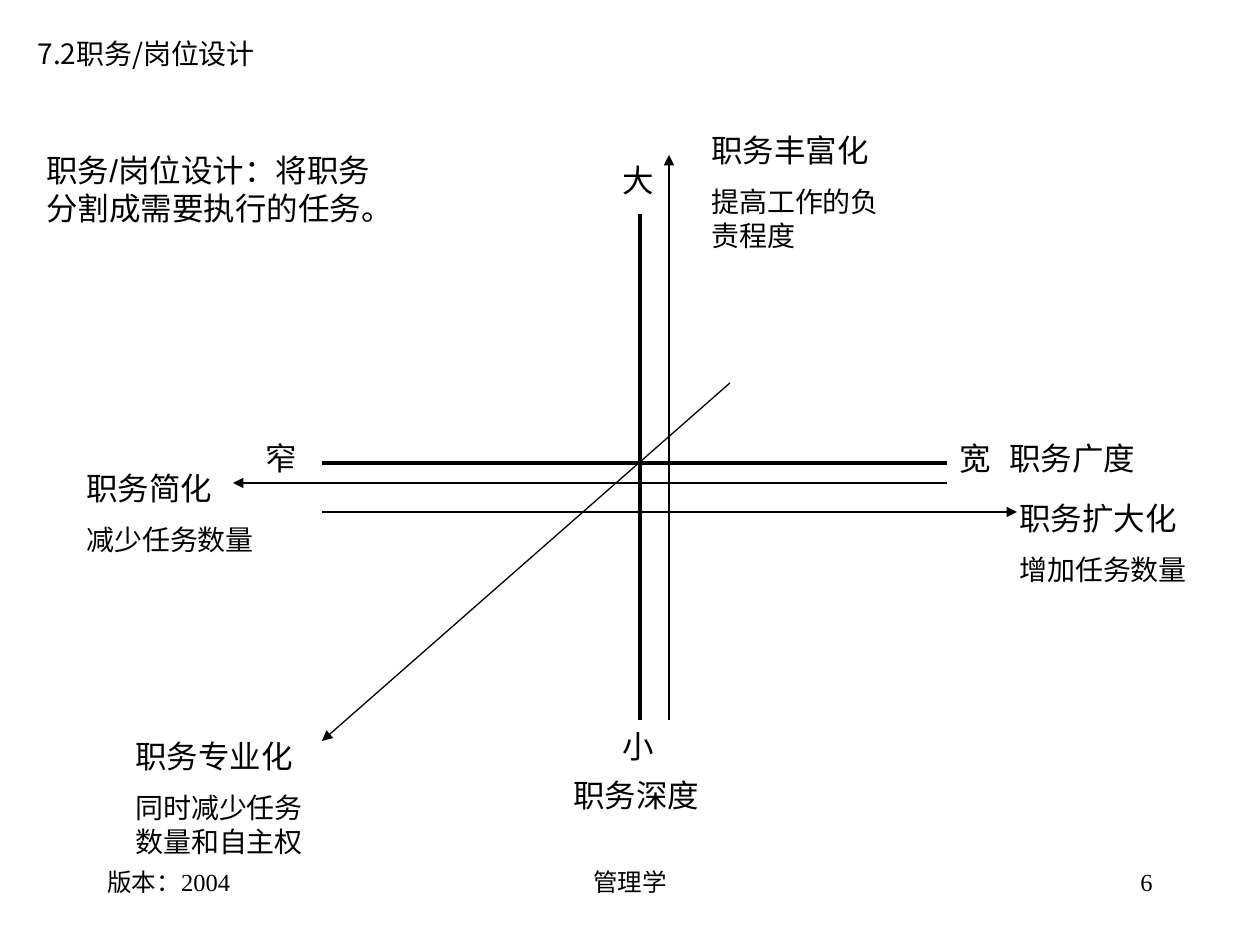
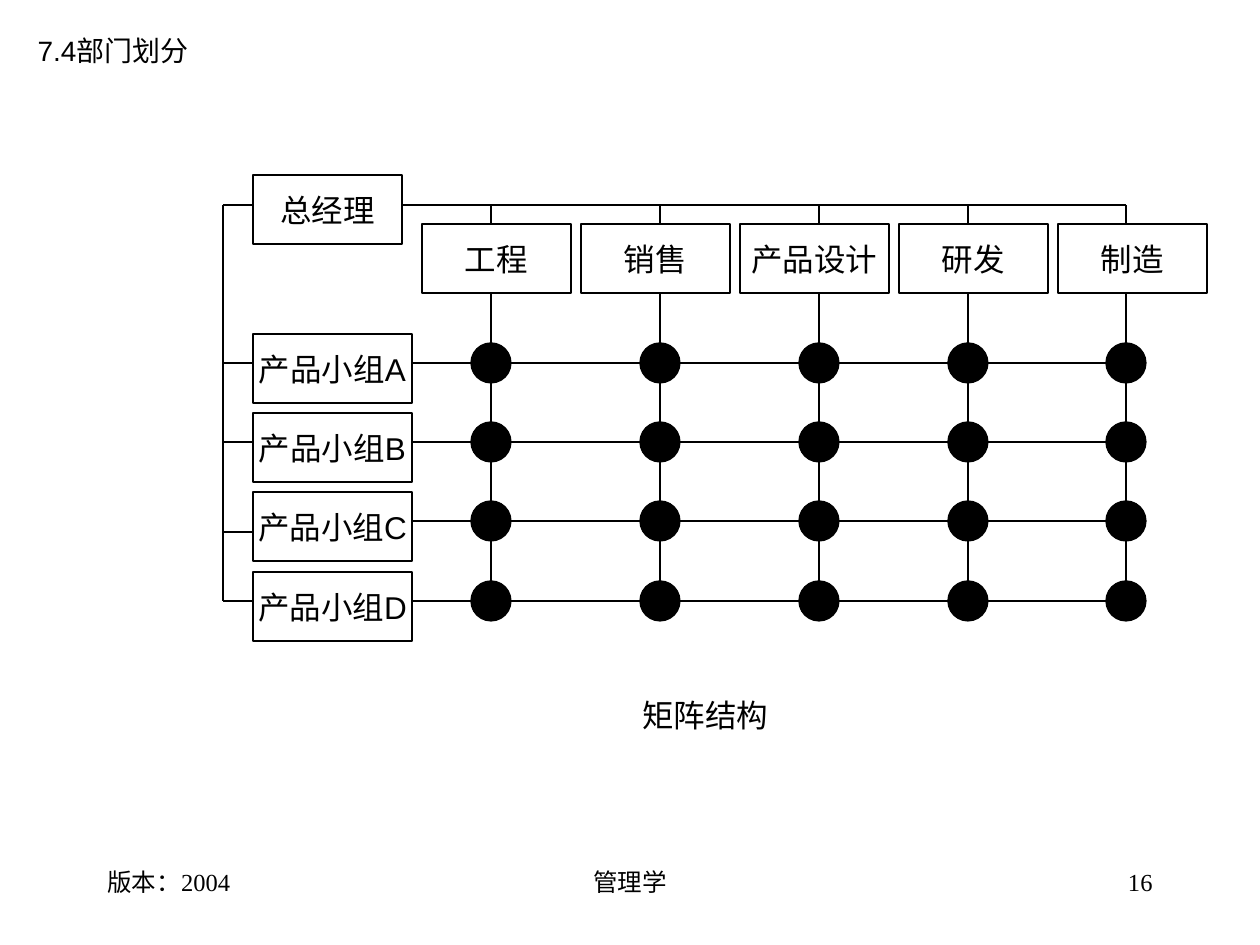
"""Build two slides on job design and the matrix structure."""
from lxml.etree import SubElement
from pptx import Presentation
from pptx.dml.color import RGBColor
from pptx.enum.shapes import MSO_CONNECTOR, MSO_SHAPE
from pptx.enum.text import MSO_ANCHOR, MSO_AUTO_SIZE, PP_ALIGN
from pptx.oxml.ns import qn
from pptx.util import Pt

PX = 914400 / 126
COLORS = {"ink": "000000", "paper": "FFFFFF"}
INK = RGBColor.from_string(COLORS["ink"])
PAPER = RGBColor.from_string(COLORS["paper"])
CJK_FONT = "Noto Sans CJK SC"
HEADING, DETAIL, FOOTER = 18, 16, 14


def write(shape, lines, font="Arial", align=PP_ALIGN.LEFT, anchor=MSO_ANCHOR.TOP, wrap=True):
    """Fill a shape with (text, size) paragraphs."""
    frame = shape.text_frame
    frame.word_wrap = wrap
    frame.auto_size = MSO_AUTO_SIZE.NONE
    frame.vertical_anchor = anchor
    frame.text = "\n".join(text for text, _ in lines)
    for index, (paragraph, (_, size)) in enumerate(zip(frame.paragraphs, lines)):
        paragraph.alignment = align
        paragraph.line_spacing = Pt(size * 1.2)
        if index:
            paragraph.space_before = Pt(9)
        paragraph.font.size = Pt(size)
        paragraph.font.color.rgb = INK
        paragraph.font.name = font
        defaults = paragraph._p.pPr.find(qn("a:defRPr"))
        SubElement(defaults, qn("a:ea")).set("typeface", CJK_FONT)


def draw_line(slide, x1, y1, x2, y2, weight=0.75, arrow=False):
    """Draw a straight line, with an arrowhead at its end if wanted."""
    ends = [round(value * PX) for value in (x1, y1, x2, y2)]
    connector = slide.shapes.add_connector(MSO_CONNECTOR.STRAIGHT, *ends)
    connector.line.color.rgb = INK
    connector.line.width = Pt(weight)
    if arrow:
        SubElement(connector.line._get_or_add_ln(), qn("a:tailEnd")).set("type", "triangle")
    SubElement(connector._element.spPr, qn("a:effectLst"))


prs = Presentation()
prs.slide_width, prs.slide_height = round(1260 * PX), round(945 * PX)

pages = [
    ("7.2职务/岗位设计", CJK_FONT, (25, 30, 249, 47), "6"),
    ("7.4部门划分", "Arial", (25, 27, 176, 47), "16"),
]
for title, title_font, (left, top, width, height), number in pages:
    slide = prs.slides.add_slide(prs.slide_layouts[5])
    heading = slide.shapes.title
    heading.left, heading.top = round(left * PX), round(top * PX)
    heading.width, heading.height = round(width * PX), round(height * PX)
    write(heading, [(title, DETAIL)], title_font)
    for text, left, width, align in [
        ("版本：2004", 95, 262, PP_ALIGN.LEFT),
        ("管理学", 430, 400, PP_ALIGN.CENTER),
        (number, 903, 262, PP_ALIGN.RIGHT),
    ]:
        box = slide.shapes.add_textbox(*[round(v * PX) for v in (left, 861, width, 63)])
        write(box, [(text, FOOTER)], "Times New Roman", align)

design, matrix = prs.slides

for x1, y1, x2, y2, weight, arrow in [
    (322, 463, 947, 463, 2.25, False),
    (640, 720, 640, 214, 2.25, False),
    (322, 512, 1017, 512, 0.75, True),
    (669, 720, 669, 155, 0.75, True),
    (947, 483, 233, 483, 0.75, True),
    (730, 383, 322, 741, 0.75, True),
]:
    draw_line(design, x1, y1, x2, y2, weight, arrow)

labels = [
    (design, 997, 433, 159, 50, ["职务广度"]),
    (design, 561, 770, 159, 50, ["职务深度"]),
    (design, 610, 155, 69, 50, ["大"]),
    (design, 610, 721, 60, 50, ["小"]),
    (design, 253, 433, 60, 50, ["窄"]),
    (design, 947, 433, 60, 50, ["宽"]),
    (design, 34, 145, 377, 88, ["职务/岗位设计：将职务分割成需要执行的任务。"]),
    (design, 1007, 493, 198, 101, ["职务扩大化", "增加任务数量"]),
    (design, 699, 125, 208, 135, ["职务丰富化", "提高工作的负责程度"]),
    (design, 74, 463, 208, 101, ["职务简化", "减少任务数量"]),
    (design, 123, 731, 208, 135, ["职务专业化", "同时减少任务数量和自主权"]),
    (matrix, 630, 690, 179, 50, ["矩阵结构"]),
]
for slide, left, top, width, height, texts in labels:
    box = slide.shapes.add_textbox(*[round(v * PX) for v in (left, top, width, height)])
    write(box, list(zip(texts, (HEADING, DETAIL))))

departments = ["工程", "销售", "产品设计", "研发", "制造"]
column_xs = [491, 660, 819, 968, 1126]
row_ys = [363 + 238 * i // 3 for i in range(4)]
branch_ys = [205, 363, 442, 532, 601]
trunk_x, unit_left, team_right = 223, 253, 412
bus_y, department_top, unit_height = 205, 224, 69

units = [("总经理", unit_left, 175, 149)]
units += [(name, 422 + 159 * i, department_top, 149) for i, name in enumerate(departments)]
units += [(f"产品小组{letter}", unit_left, y - 29, 159) for letter, y in zip("ABCD", row_ys)]
for name, left, top, width in units:
    unit = matrix.shapes.add_shape(
        MSO_SHAPE.RECTANGLE, *[round(v * PX) for v in (left, top, width, unit_height)])
    unit.shadow.inherit = False
    unit.fill.solid()
    unit.fill.fore_color.rgb = PAPER
    unit.line.color.rgb = INK
    unit.line.width = Pt(0.75)
    write(unit, [(name, HEADING)], align=PP_ALIGN.CENTER, anchor=MSO_ANCHOR.MIDDLE, wrap=False)

draw_line(matrix, 402, bus_y, column_xs[-1], bus_y)
draw_line(matrix, trunk_x, bus_y, trunk_x, row_ys[-1])
for y in branch_ys:
    draw_line(matrix, trunk_x, y, unit_left, y)
for y in row_ys:
    draw_line(matrix, team_right, y, column_xs[-1], y)
for x in column_xs:
    draw_line(matrix, x, bus_y, x, department_top)
    draw_line(matrix, x, department_top + unit_height, x, row_ys[-1])

for y in row_ys:
    for x in column_xs:
        node = matrix.shapes.add_shape(
            MSO_SHAPE.OVAL, *[round(v * PX) for v in (x - 20, y - 20, 40, 40)])
        node.shadow.inherit = False
        node.fill.solid()
        node.fill.fore_color.rgb = INK
        node.line.color.rgb = INK
        node.line.width = Pt(0.75)

prs.save("out.pptx")
